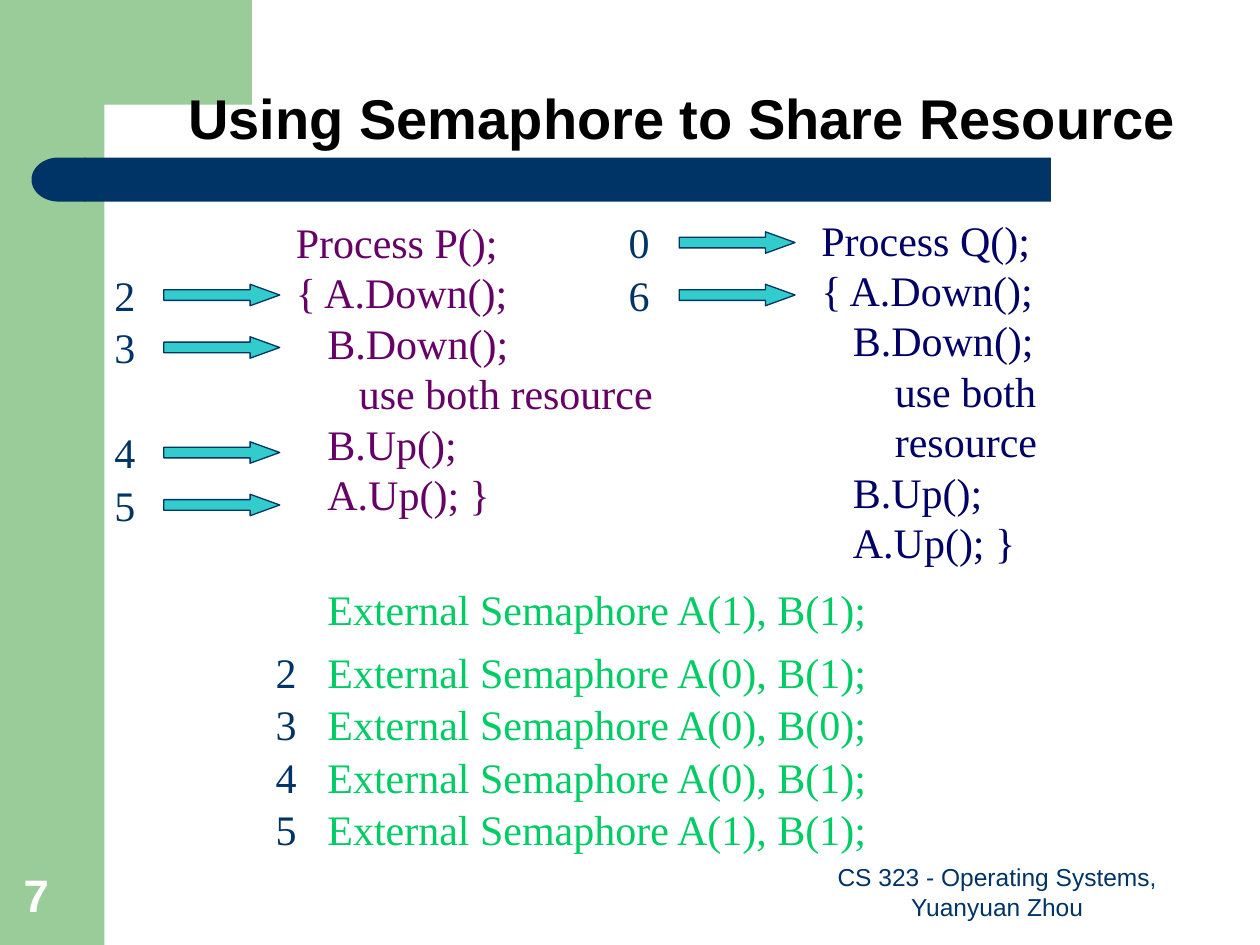
from dataclasses import dataclass

from pptx import Presentation
from pptx import util as u
from pptx.dml import color
from pptx.enum import shapes, text

NAVY = "003366"
SAGE = "99CC99"
SERIF = "Times New Roman"
ROW_STEP = 5 / 12
TOP_ROW = 1.67
STATE_TOP = 5.08
SPACE_WIDTH = 1 / 12


@dataclass
class Process:
    name: str
    left: float
    top: float
    width: float
    color: str
    use_indent: int


@dataclass
class Step:
    label: str
    left: float
    row: int
    arrow_offset: float


@dataclass
class State:
    label: str
    a: int
    b: int


PROCESSES = [
    Process("P", 2.25, 1.67, 3.03, "660066", 6),
    Process("Q", 6.42, 1.65, 3.11, "000066", 7),
]
STEPS = [
    Step("2", 0.81, 1, 0.49),
    Step("3", 0.81, 2, 0.49),
    Step("4", 0.81, 4, 0.49),
    Step("5", 0.81, 5, 0.49),
    Step("0", 4.89, 0, 0.5),
    Step("6", 4.89, 1, 0.5),
]
STATES = [State("2", 0, 1), State("3", 0, 0), State("4", 0, 1), State("5", 1, 1)]


def rgb(value: str) -> color.RGBColor:
    return color.RGBColor.from_string(value)


def style_font(font, size: float, value: str, name: str = SERIF, bold: bool = False) -> None:
    font.name = name
    font.size = u.Pt(size)
    font.bold = bold
    font.color.rgb = rgb(value)


def paint(shape, fill: str, line: str = "") -> None:
    shape.shadow.inherit = False
    shape.fill.solid()
    shape.fill.fore_color.rgb = rgb(fill)
    if line:
        shape.line.color.rgb = rgb(line)
        shape.line.width = u.Pt(0.75)
    else:
        shape.line.fill.background()


def add_shape(slide, kind, left: float, top: float, width: float, height: float,
              fill: str, line: str = ""):
    shape = slide.shapes.add_shape(
        kind, u.Inches(left), u.Inches(top), u.Inches(width), u.Inches(height))
    paint(shape, fill, line)
    return shape


def add_box(slide, left: float, top: float, width: float, height: float, wrap: bool):
    box = slide.shapes.add_textbox(
        u.Inches(left), u.Inches(top), u.Inches(width), u.Inches(height))
    box.text_frame.word_wrap = wrap
    return box.text_frame


def add_line(slide, words: str, left: float, top: float, width: float, value: str) -> None:
    paragraph = add_box(slide, left, top, width, 0.5, False).paragraphs[0]
    paragraph.text = words
    style_font(paragraph.font, 24, value)


def add_footer(slide, words: str, left: float, width: float, size: float,
               value: str, bold: bool, alignment) -> None:
    frame = add_box(slide, left, 6.83, width, 0.53, True)
    frame.vertical_anchor = text.MSO_ANCHOR.BOTTOM
    paragraph = frame.paragraphs[0]
    paragraph.text = words
    paragraph.alignment = alignment
    style_font(paragraph.font, size, value, "Arial", bold)


def add_background(slide) -> None:
    add_shape(slide, shapes.MSO_SHAPE.RECTANGLE, 0, 0, 0.83, 7.5, SAGE)
    builder = slide.shapes.build_freeform(u.Inches(0.5), 0)
    corner = [(2, 0), (2, 0.83), (0.81, 0.83), (0.77, 0.85), (0.71, 0.92),
              (0.68, 1.04), (0.67, 1.16), (0.67, 1.28), (0.5, 1.28)]
    builder.add_line_segments([(u.Inches(x), u.Inches(y)) for x, y in corner])
    paint(builder.convert_to_shape(), SAGE)
    add_shape(slide, shapes.MSO_SHAPE.RECTANGLE, 0.67, 1.25, 7.67, 0.35, NAVY)
    cap = add_shape(slide, shapes.MSO_SHAPE.FLOWCHART_DELAY, 0.25, 1.25, 0.43, 0.35, NAVY)
    cap.rotation = 180


def add_title(slide, words: str) -> None:
    title = slide.shapes.title
    slide.shapes.element.append(title.element)
    title.left, title.top = u.Inches(1.08), 0
    title.width, title.height = u.Inches(8.67), u.Inches(1.25)
    frame = title.text_frame
    frame.vertical_anchor = text.MSO_ANCHOR.BOTTOM
    paragraph = frame.paragraphs[0]
    paragraph.text = words
    paragraph.alignment = text.PP_ALIGN.CENTER
    paragraph.line_spacing = 0.9
    style_font(paragraph.font, 32, "000000", "Arial", True)


def add_process(slide, process: Process) -> None:
    frame = add_box(slide, process.left, process.top, process.width, 2.5, False)
    lines = [(f"Process {process.name}();", 0), ("{ A.Down();", 0), ("B.Down();", 3),
             ("use both resource", process.use_indent), ("B.Up();", 3), ("A.Up(); }", 3)]
    for index, (words, spaces) in enumerate(lines):
        paragraph = frame.add_paragraph() if index else frame.paragraphs[0]
        paragraph.text = words
        style_font(paragraph.font, 24, process.color)
        properties = paragraph._p.get_or_add_pPr()
        properties.set("marL", str(u.Inches(spaces * SPACE_WIDTH)))
        properties.set("indent", "0")


def add_step(slide, step: Step) -> None:
    top = TOP_ROW + step.row * ROW_STEP
    arrow = add_shape(slide, shapes.MSO_SHAPE.RIGHT_ARROW, step.left + step.arrow_offset,
                      top + 0.17, 0.92, 0.17, "33CCCC", NAVY)
    arrow.adjustments[1] = 1.38
    add_line(slide, step.label, step.left, top, 0.36, NAVY)


def add_state(slide, state: State, top: float) -> None:
    add_line(slide, f"External Semaphore A({state.a}), B({state.b});",
             2.5, top, 4.49, "00CC66")
    if state.label:
        add_line(slide, state.label, 2.09, top, 0.36, NAVY)


def main() -> None:
    presentation = Presentation()
    presentation.slide_width = u.Inches(10)
    presentation.slide_height = u.Inches(7.5)
    slide = presentation.slides.add_slide(presentation.slide_layouts[5])
    add_background(slide)
    add_title(slide, "Using Semaphore to Share Resource")
    for process in PROCESSES:
        add_process(slide, process)
    for step in STEPS:
        add_step(slide, step)
    add_state(slide, State("", 1, 1), STATE_TOP - 0.5)
    for index, state in enumerate(STATES):
        add_state(slide, state, STATE_TOP + index * ROW_STEP)
    add_footer(slide, "CS 323 - Operating Systems, Yuanyuan Zhou", 6.33, 3.17, 14,
               NAVY, False, text.PP_ALIGN.CENTER)
    add_footer(slide, "7", 0.09, 0.64, 26, "FFFFFF", True, text.PP_ALIGN.LEFT)
    presentation.save("out.pptx")


if __name__ == "__main__":
    main()
